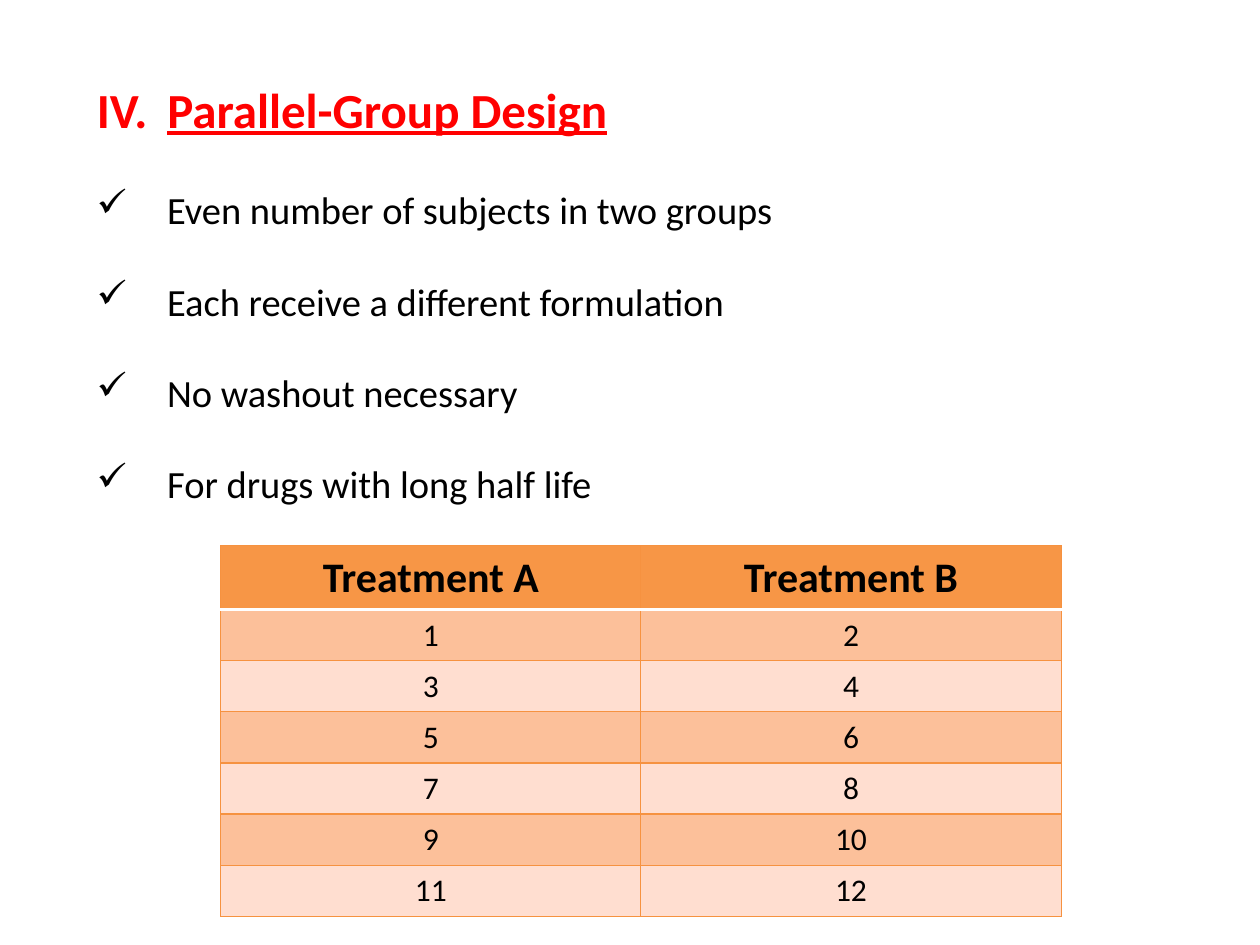
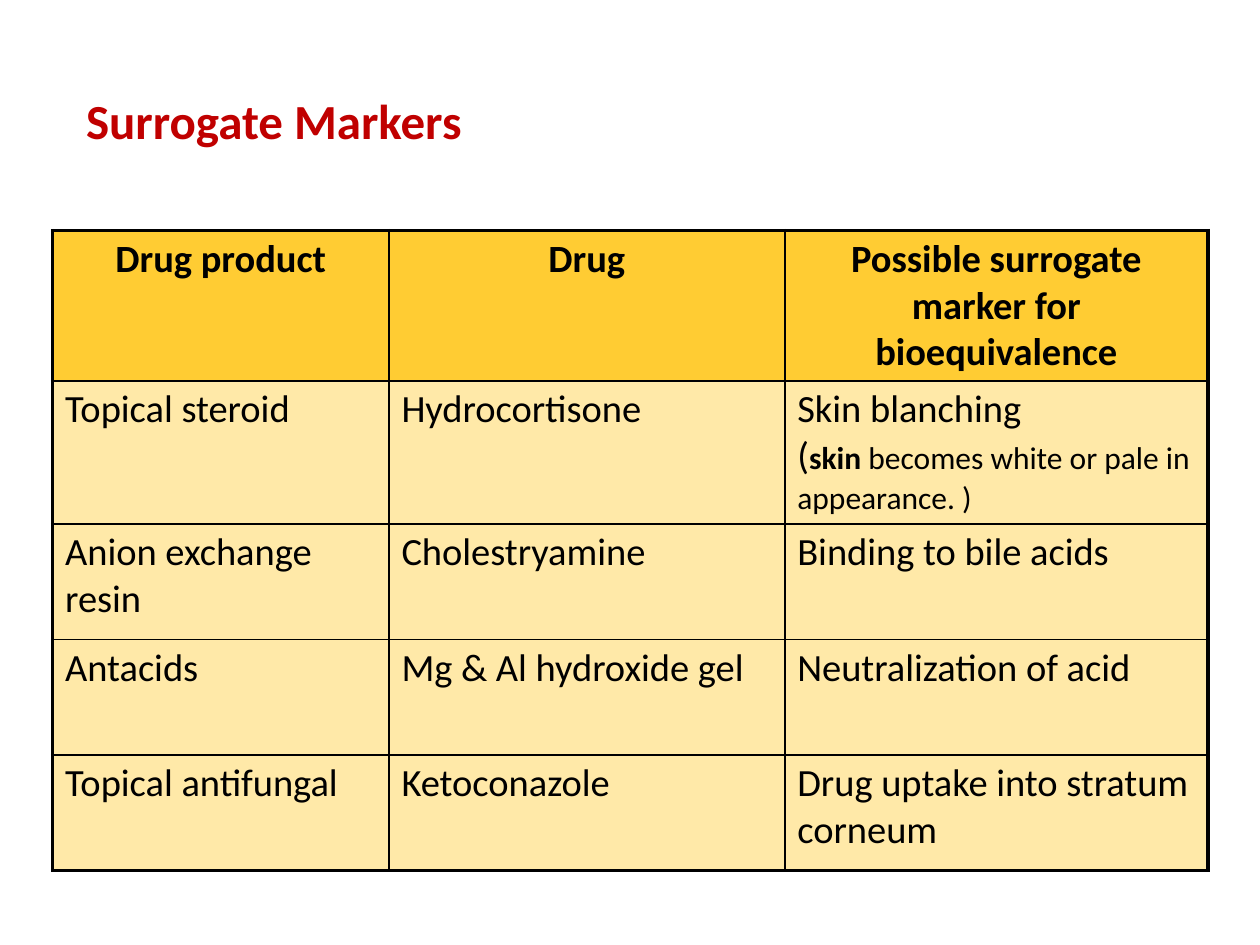
from lxml import etree
from pptx import Presentation
from pptx.dml.color import RGBColor
from pptx.enum.text import MSO_ANCHOR, MSO_AUTO_SIZE, PP_ALIGN
from pptx.oxml.ns import qn
from pptx.util import Cm, Pt

LEFT, CENTER = PP_ALIGN.LEFT, PP_ALIGN.CENTER
TOP = MSO_ANCHOR.TOP
NO_AUTOFIT = MSO_AUTO_SIZE.NONE

FONT = "Calibri"
TITLE_ONLY = 5
COLORS = {
    "black": "000000",
    "white": "FFFFFF",
    "red": "FF0000",
    "dark_red": "C00000",
    "orange": "F79646",
    "orange_line": "F69240",
    "orange_band": "FCC09A",
    "orange_pale": "FFDED0",
    "gold": "FFCC33",
    "gold_pale": "FFE9A8",
}
HANGING_INDENT = Cm(1.42)

TREATMENT_STYLE = {
    "header_fill": "orange",
    "body_fills": ("orange_band", "orange_pale"),
    "outer": ("orange_line", 0.75),
    "inner": ("orange_line", 0.75),
    "header_rule": ("white", 2),
    "header_size": 24,
    "body_size": 18,
    "body_align": CENTER,
    "vertical_margin": Cm(0.13),
}
MARKER_STYLE = {
    "header_fill": "gold",
    "body_fills": ("gold_pale",),
    "outer": ("black", 2.25),
    "inner": ("black", 1),
    "header_rule": ("black", 1),
    "header_size": 22,
    "body_size": 22,
    "body_align": LEFT,
    "vertical_margin": Cm(0.1),
}

DESIGN_FEATURES = [
    "Even number of subjects in two groups",
    "Each receive a different formulation",
    "No washout necessary",
    "For drugs with long half life",
]
TREATMENT_ROWS = [("Treatment A", "Treatment B")] + [
    (str(subject), str(subject + 1)) for subject in range(1, 12, 2)
]
MARKER_ROWS = [
    ("Drug product", "Drug", "Possible surrogate marker for bioequivalence"),
    ("Topical steroid", "Hydrocortisone", "Skin blanching"),
    ("Anion exchange resin", "Cholestryamine", "Binding to bile acids"),
    ("Antacids", "Mg & Al hydroxide gel", "Neutralization of acid"),
    ("Topical antifungal", "Ketoconazole", "Drug uptake into stratum corneum"),
]


def rgb(name):
    return RGBColor.from_string(COLORS[name])


def write(paragraph, text, size=22, color="black", bold=False, underline=False, align=None):
    """Append a formatted run to the paragraph."""
    run = paragraph.add_run()
    run.text = text
    run.font.name = FONT
    run.font.size = Pt(size)
    run.font.color.rgb = rgb(color)
    run.font.bold = bold
    run.font.underline = underline
    if align is not None:
        paragraph.alignment = align


def add_bullet(paragraph, tag, **attributes):
    """Give the paragraph a hanging indent and a bullet element."""
    properties = paragraph._p.get_or_add_pPr()
    properties.set("marL", str(HANGING_INDENT))
    properties.set("indent", str(-HANGING_INDENT))
    etree.SubElement(properties, qn(tag), attributes)


def add_titled_slide(presentation, text, left, top, width, **text_format):
    slide = presentation.slides.add_slide(presentation.slide_layouts[TITLE_ONLY])
    title = slide.shapes.title
    title.left, title.top, title.width, title.height = left, top, width, Cm(1.45)
    frame = title.text_frame
    frame.auto_size = NO_AUTOFIT
    frame.vertical_anchor = TOP
    write(frame.paragraphs[0], text, size=28, bold=True, align=LEFT, **text_format)
    return slide


def add_checklist(slide, items, left, top, width, height):
    frame = slide.shapes.add_textbox(left, top, width, height).text_frame
    frame.word_wrap = True
    for index, item in enumerate(items):
        paragraph = frame.add_paragraph() if index else frame.paragraphs[0]
        paragraph.space_after = Pt(25.8)
        add_bullet(paragraph, "a:buChar", char="✓")
        write(paragraph, item)


def set_borders(cell, borders):
    """Draw (side, colour, width) borders, given in the order L, R, T, B."""
    properties = cell._tc.get_or_add_tcPr()
    for position, (side, (color, width)) in enumerate(borders.items()):
        line = etree.Element(qn(f"a:ln{side}"), w=str(Pt(width)))
        fill = etree.SubElement(line, qn("a:solidFill"))
        etree.SubElement(fill, qn("a:srgbClr"), val=COLORS[color])
        properties.insert(position, line)


def cell_borders(row, column, last_row, last_column, style):
    outer, inner, rule = style["outer"], style["inner"], style["header_rule"]
    return {
        "L": outer if column == 0 else inner,
        "R": outer if column == last_column else inner,
        "T": outer if row == 0 else rule if row == 1 else inner,
        "B": outer if row == last_row else rule if row == 0 else inner,
    }


def add_styled_table(slide, rows, left, top, column_widths, row_heights, style):
    table = slide.shapes.add_table(
        len(rows), len(column_widths), left, top, sum(column_widths), sum(row_heights)
    ).table
    for column, width in zip(table.columns, column_widths):
        column.width = width
    for row, height in zip(table.rows, row_heights):
        row.height = height
    fills = style["body_fills"]
    for row, texts in enumerate(rows):
        header = row == 0
        for column, text in enumerate(texts):
            cell = table.cell(row, column)
            cell.margin_top = cell.margin_bottom = style["vertical_margin"]
            cell.fill.solid()
            fill = style["header_fill"] if header else fills[(row - 1) % len(fills)]
            cell.fill.fore_color.rgb = rgb(fill)
            set_borders(cell, cell_borders(row, column, len(rows) - 1, len(texts) - 1, style))
            write(
                cell.text_frame.paragraphs[0],
                text,
                size=style["header_size" if header else "body_size"],
                bold=header,
                align=CENTER if header else style["body_align"],
            )
    return table


def build_parallel_group_slide(presentation):
    slide = add_titled_slide(
        presentation, "Parallel-Group Design", Cm(1.7), Cm(1.47), Cm(21.16),
        color="red", underline=True,
    )
    add_bullet(
        slide.shapes.title.text_frame.paragraphs[0],
        "a:buAutoNum", type="romanUcPeriod", startAt="4",
    )
    add_checklist(slide, DESIGN_FEATURES, Cm(1.7), Cm(3.63), Cm(21.16), Cm(7))
    add_styled_table(
        slide, TREATMENT_ROWS, Cm(4.45), Cm(11), [Cm(8.47)] * 2,
        [Cm(1.29)] + [Cm(1.03)] * 6, TREATMENT_STYLE,
    )


def build_surrogate_marker_slide(presentation):
    slide = add_titled_slide(
        presentation, "Surrogate Markers", Cm(1.48), Cm(1.7), Cm(10.8), color="dark_red"
    )
    table = add_styled_table(
        slide, MARKER_ROWS, Cm(1.06), Cm(4.65), [Cm(6.78), Cm(7.98), Cm(8.53)],
        [Cm(3.03), Cm(2.88)] + [Cm(2.33)] * 3, MARKER_STYLE,
    )
    blanching = table.cell(1, 2).text_frame.paragraphs[0]
    blanching.add_line_break()
    write(blanching, "(")
    write(blanching, "skin", size=18, bold=True)
    write(blanching, " becomes white or pale in appearance. )", size=18)


def main():
    presentation = Presentation()
    presentation.slide_width, presentation.slide_height = Cm(25.4), Cm(19.05)
    build_parallel_group_slide(presentation)
    build_surrogate_marker_slide(presentation)
    presentation.save("out.pptx")


if __name__ == "__main__":
    main()
